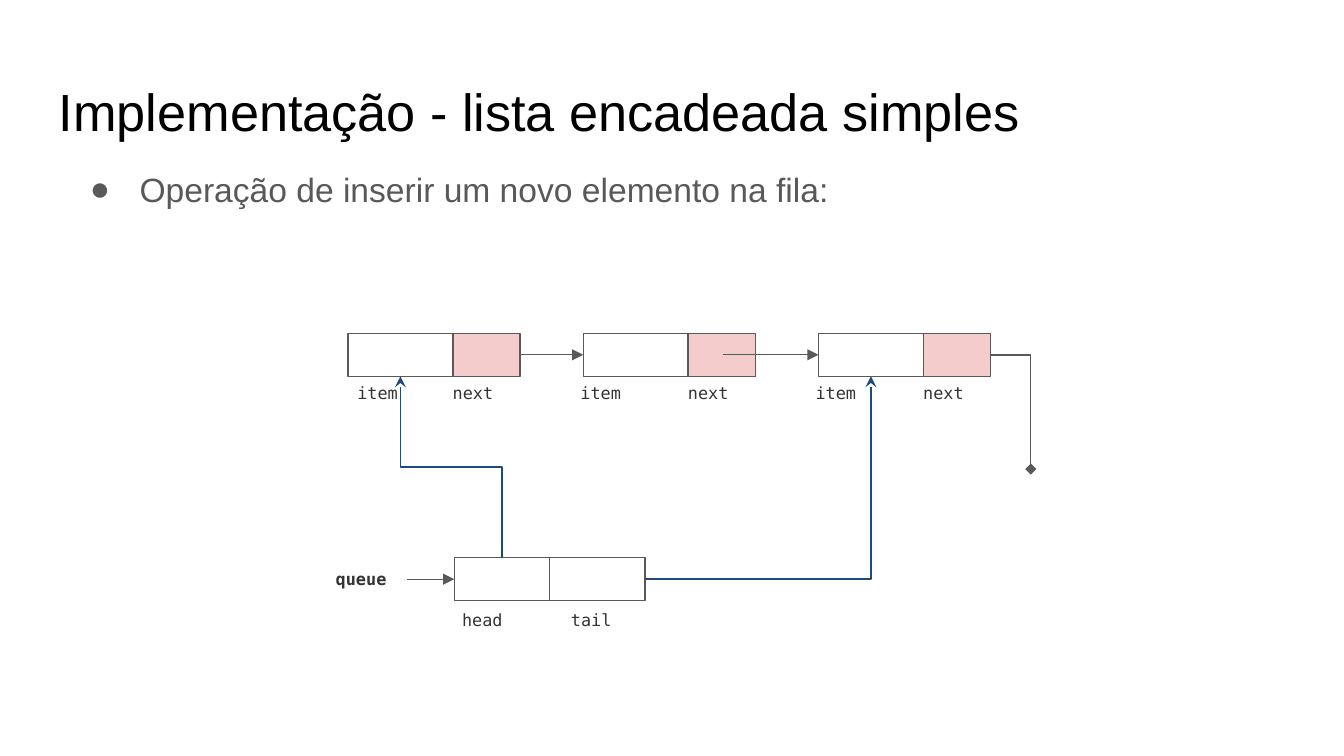
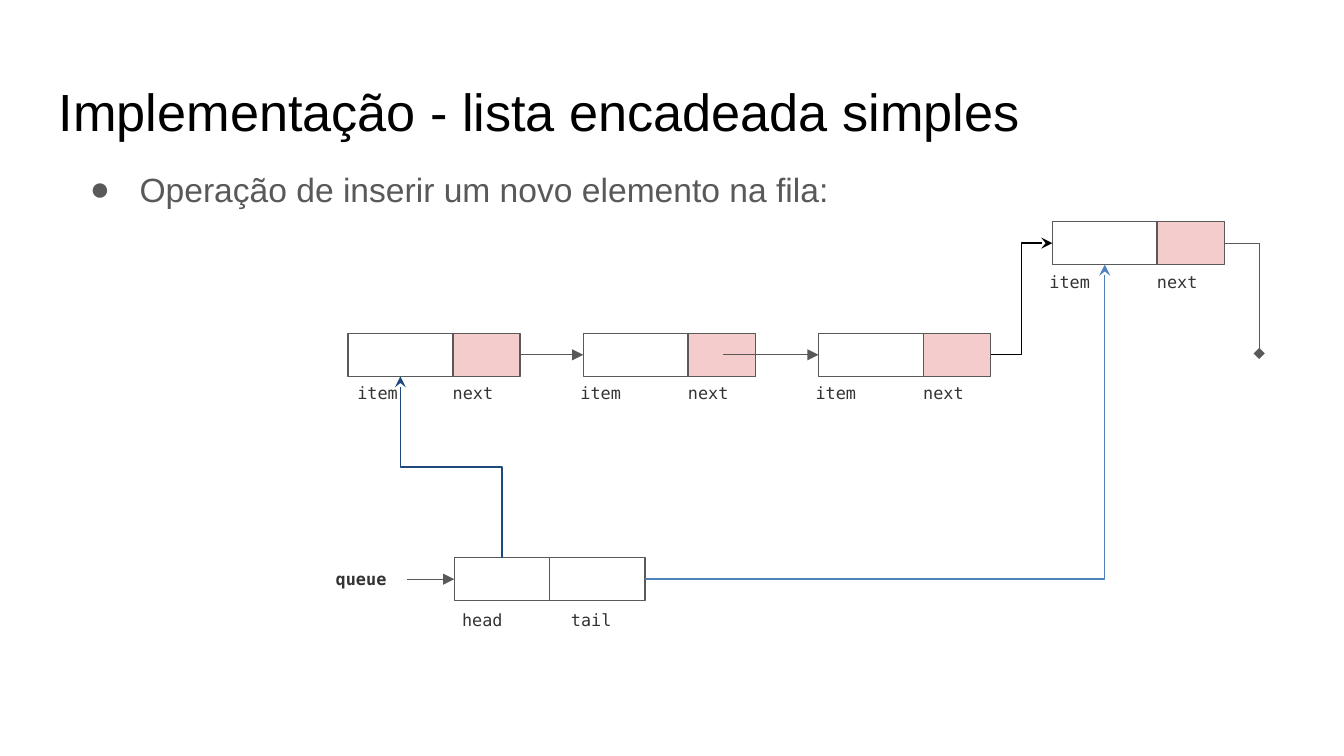
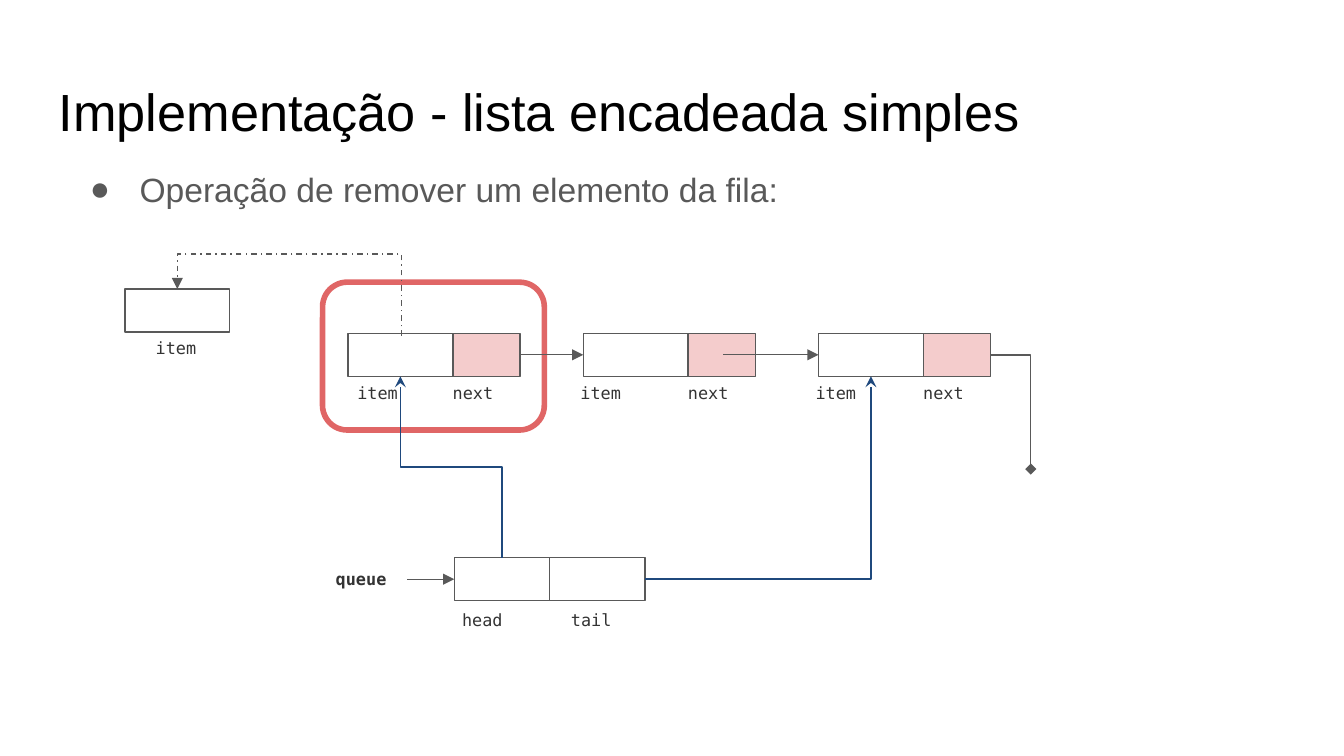
import pptx
import pptx.util
import pptx.dml.color
import pptx.enum.dml
import pptx.enum.shapes
import pptx.enum.text
import pptx.oxml.ns
import lxml.etree

Inches = pptx.util.Inches
Pt = pptx.util.Pt
RGB = pptx.dml.color.RGBColor
SHAPE = pptx.enum.shapes.MSO_SHAPE
WIRE = pptx.enum.shapes.MSO_CONNECTOR
DASH = pptx.enum.dml.MSO_LINE
ANCHOR = pptx.enum.text.MSO_ANCHOR
qn = pptx.oxml.ns.qn

BLACK = RGB(0, 0, 0)
GREY = RGB(0x59, 0x59, 0x59)
DARK = RGB(0x33, 0x33, 0x33)
PINK = RGB(0xF4, 0xCC, 0xCC)
RED = RGB(0xE0, 0x66, 0x66)
NAVY = RGB(0x1F, 0x49, 0x7D)
BLUE = RGB(0x4F, 0x81, 0xBD)

TITLE = "Implementação - lista encadeada simples"
ADD = "Operação de inserir um novo elemento na fila:"
DROP = "Operação de remover um elemento da fila:"
HEAD = {"name": "Arial", "size": Pt(28)}
BODY = {"name": "Arial", "size": Pt(18)}
CODE = {"name": "DejaVu Sans Mono", "size": Pt(9)}
BOLD = {**CODE, "bold": True}

HIGH = 0.32             # height of every cell
ITEM, NEXT = 0.78, 0.5  # widths of the two cells of a node
HALF = 0.71             # width of a queue cell
ROW, STEP = 2.48, 1.75
NODES = [2.59 + STEP * i for i in range(3)]
QUEUE = (3.38, 4.15)
EXTRA = (7.83, 1.65)    # the node being inserted

# tail: last node; end: reach of its null link; ring, out: the removed node
SLIDES = [
    {"topic": ADD, "tail": (NODES[2], ROW), "ink": NAVY, "end": (0.3, 0.85)},
    {"topic": ADD, "tail": EXTRA, "ink": BLUE, "end": (0.26, 0.82)},
    {"topic": DROP, "tail": (NODES[2], ROW), "ink": NAVY, "end": (0.3, 0.85),
     "ring": (2.4, 2.1, 1.65, 1.1), "out": (0.93, 2.15)},
]


def sub(parent, tag, **attrs):
    return lxml.etree.SubElement(parent, qn(tag), attrs)


def write(slide, words, x, y, w, h, font, ink=DARK, anchor=ANCHOR.TOP):
    frame = slide.shapes.add_textbox(*map(Inches, (x, y, w, h))).text_frame
    frame.word_wrap = True
    frame.vertical_anchor = anchor
    for side in ("left", "top", "right", "bottom"):
        setattr(frame, "margin_" + side, Inches(0.1))
    para = frame.paragraphs[0]
    run = para.add_run()
    run.text = words
    for key, value in font.items():
        setattr(run.font, key, value)
    run.font.color.rgb = ink
    return para


def label(slide, words, x, y, w, font=CODE):
    write(slide, words, x, y, w, 0.37, font, anchor=ANCHOR.MIDDLE)


def bullet(para):
    para.line_spacing = 1.15
    props = para._p.get_or_add_pPr()
    props.set("marL", str(Inches(0.5)))
    props.set("indent", str(Inches(-0.37)))
    sub(sub(props, "a:buClr"), "a:srgbClr", val=str(GREY))
    sub(props, "a:buSzPts", val="1800")
    sub(props, "a:buFont", typeface="Arial")
    sub(props, "a:buChar", char="●")


def cell(slide, x, y, w, h=HIGH, fill=None, ink=GREY, width=0.75,
         kind=SHAPE.RECTANGLE):
    box = slide.shapes.add_shape(kind, *map(Inches, (x, y, w, h)))
    box.shadow.inherit = False
    if fill:
        box.fill.solid()
        box.fill.fore_color.rgb = fill
    else:
        box.fill.background()
    box.line.color.rgb = ink
    box.line.width = Pt(width)
    return box


def wire(slide, start, end, head, ink=GREY, bend=None, adj=(), turn=False,
         dash=None):
    """Arrow with `bend` as its elbow preset; `turn` makes it leave upright."""
    (x1, y1), (x2, y2) = start, end
    if turn:
        cx, cy = (x1 + x2) / 2, (y1 + y2) / 2
        x1, y1, x2, y2 = (cx + y1 - cy, cy - x1 + cx,
                          cx + y2 - cy, cy - x2 + cx)
    line = slide.shapes.add_connector(WIRE.ELBOW if bend else WIRE.STRAIGHT,
                                      *map(Inches, (x1, y1, x2, y2)))
    line.line.color.rgb = ink
    line.line.width = Pt(0.75)
    if dash:
        line.line.dash_style = dash
    props = line._element.spPr
    sub(props.find(qn("a:ln")), "a:tailEnd", type=head)
    sub(props, "a:effectLst")
    if turn:
        props.find(qn("a:xfrm")).set("rot", "5400000")
    if bend:
        shape = props.find(qn("a:prstGeom"))
        shape.set("prst", f"bentConnector{bend}")
        for i, part in enumerate(adj, 1):
            sub(shape.find(qn("a:avLst")), "a:gd", name=f"adj{i}",
                fmla=f"val {round(part * 100000)}")
    return line


def node(slide, x, y, shift=-0.12):
    cell(slide, x + ITEM, y, NEXT, fill=PINK)
    box = cell(slide, x, y, ITEM)
    label(slide, "item", x + shift, y + 0.26, 0.52)
    label(slide, "next", x + 0.68, y + 0.26, 0.78)
    return box


def chain(slide):
    """Nodes and links; the first node covers the start of its link."""
    mid = ROW + HIGH / 2
    boxes = [node(slide, x, ROW) for x in NODES[1:]]
    for x, box in zip(NODES, boxes):
        link = wire(slide, (x + 1.04, mid), (x + STEP, mid), "triangle")
        link.end_connect(box, 1)
    node(slide, NODES[0], ROW, -0.03)


def queue(slide, tail, ink):
    x, y = QUEUE
    mid = y + HIGH / 2
    label(slide, "queue", 2.4, 4.12, 0.63, BOLD)
    label(slide, "head", 3.34, 4.43, 0.83)
    label(slide, "tail", 4.15, 4.43, 0.71)
    box = cell(slide, x, y, HALF)
    cell(slide, x + HALF, y, HALF)
    wire(slide, (3.03, mid), (x, mid), "triangle").end_connect(box, 1)
    wire(slide, (x + HALF / 2, y), (NODES[0] + ITEM / 2, ROW + HIGH),
         "stealth", NAVY, bend=3, turn=True)
    wire(slide, (x + 2 * HALF, mid), (tail[0] + ITEM / 2, tail[1] + HIGH),
         "stealth", ink, bend=2)


def build(deck, plan):
    slide = deck.slides.add_slide(deck.slide_layouts[6])
    if "ring" in plan:
        cell(slide, *plan["ring"], ink=RED, width=3,
             kind=SHAPE.ROUNDED_RECTANGLE)
    write(slide, TITLE, 0.34, 0.49, 9.32, 0.63, HEAD, BLACK)
    bullet(write(slide, plan["topic"], 0.44, 1.11, 9.32, 0.5, BODY, GREY))
    x, y = plan["tail"]
    right, mid = x + ITEM + NEXT, y + HIGH / 2
    across, down = plan["end"]
    wire(slide, (right, mid), (right + across, mid + down), "diamond", bend=2)
    if plan["tail"] == EXTRA:
        node(slide, x, y)
        wire(slide, (NODES[2] + ITEM + NEXT, ROW + HIGH / 2), (x, mid),
             "stealth", BLACK, bend=3)
    if "out" in plan:
        x, y = plan["out"]
        label(slide, "item", x + 0.13, y + 0.25, 0.52)
        cell(slide, x, y, ITEM)
        wire(slide, (2.99, 2.5), (x + ITEM / 2, y), "triangle",
             bend=4, adj=(0, 1.74), dash=DASH.DASH_DOT)
    chain(slide)
    queue(slide, plan["tail"], plan["ink"])


def main():
    deck = pptx.Presentation()
    deck.slide_width = Inches(10)
    deck.slide_height = deck.slide_width * 9 // 16
    for plan in SLIDES:
        build(deck, plan)
    deck.save("out.pptx")


if __name__ == "__main__":
    main()
